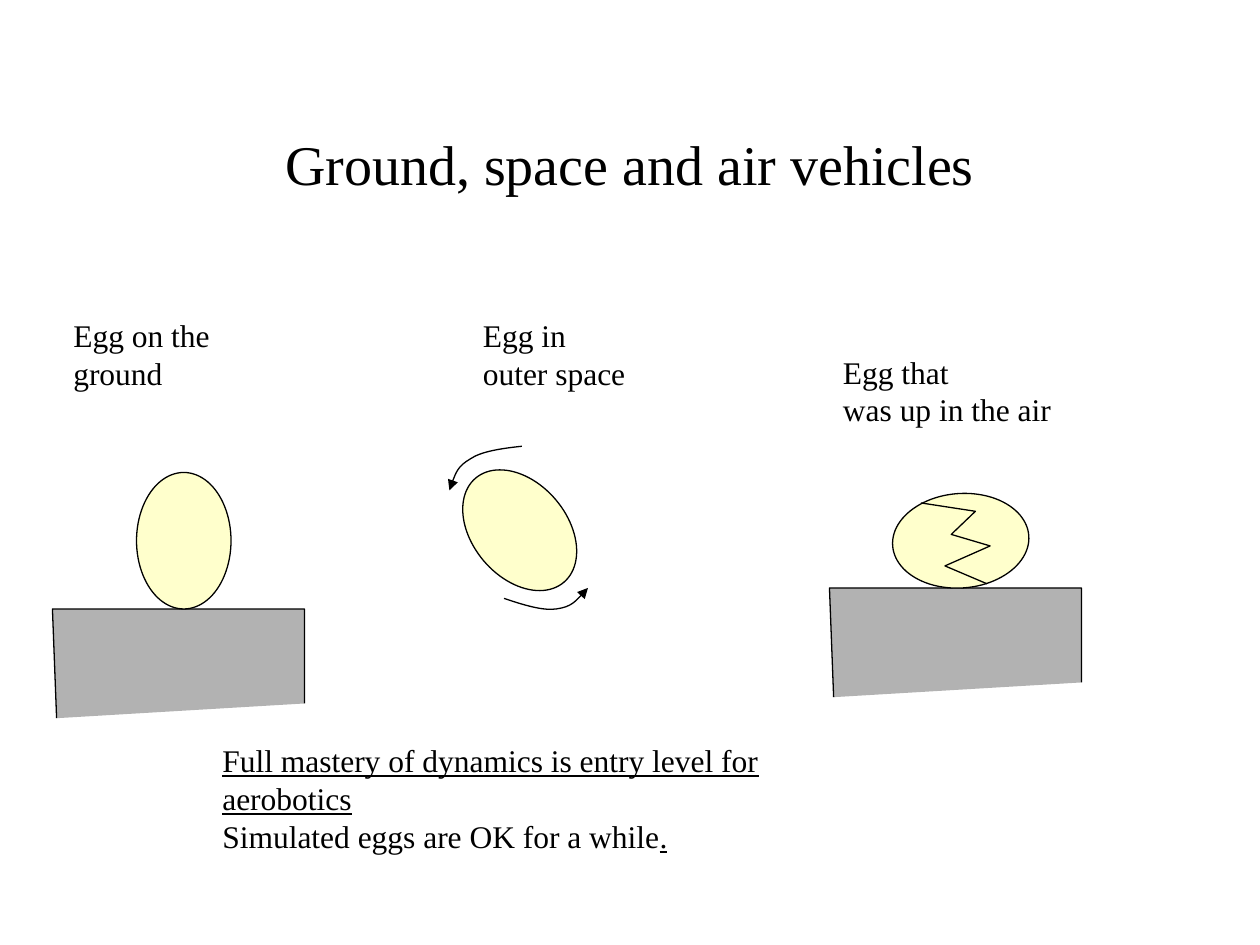
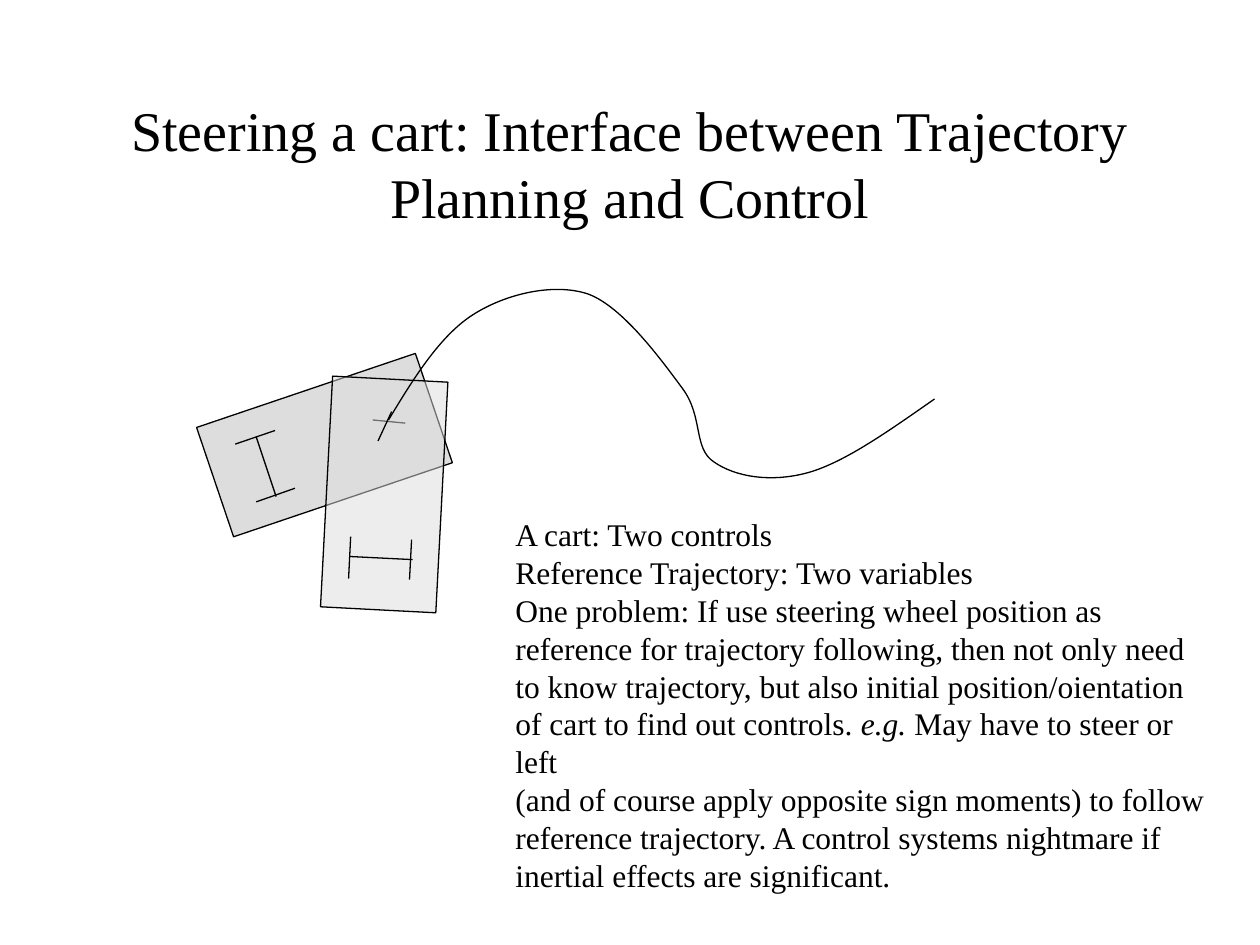
from dataclasses import dataclass

from lxml import etree
from pptx import Presentation
from pptx.dml.color import RGBColor
from pptx.enum.shapes import MSO_CONNECTOR, MSO_SHAPE
from pptx.enum.text import MSO_ANCHOR, MSO_AUTO_SIZE, PP_ALIGN
from pptx.oxml.ns import qn
from pptx.util import Inches, Pt

STRAIGHT = MSO_CONNECTOR.STRAIGHT
OVAL, RECTANGLE = MSO_SHAPE.OVAL, MSO_SHAPE.RECTANGLE
MIDDLE = MSO_ANCHOR.MIDDLE
FIT_TEXT = MSO_AUTO_SIZE.SHAPE_TO_FIT_TEXT
LEFT, CENTER = PP_ALIGN.LEFT, PP_ALIGN.CENTER


@dataclass(frozen=True)
class Theme:
    font: str = "Times New Roman"
    title_size: int = 32
    body_size: int = 18
    ink: str = "000000"
    egg: str = "FFFFCC"
    ground: str = "B2B2B2"
    cart: str = "DDDDDD"
    line_width: float = 0.75


THEME = Theme()
WIDTH, HEIGHT = Inches(10), Inches(7.5)
COLUMNS = 120
UNIT = WIDTH // COLUMNS
TITLE_BOX = (9, 8, 102, 15)
EGG_SIZE = (9, 13)
CART_SIZE = (11, 22)

EGG_TITLE = "Ground, space and air vehicles"
EGG_TEXTS = [
    ((5.8, 29.5, 24.6, 4.8), ["Egg on the ground"]),
    ((44.8, 29.5, 16, 8.4), ["Egg in", "outer space"]),
    ((79.1, 33, 22.2, 8.4), ["Egg that", "was up in the air"]),
    ((20, 70, 66.5, 8.4), [
        [("Full mastery of dynamics is entry level for aerobotics", "underline")],
        [("Simulated eggs are OK for a while", None), (".", "underline")],
    ]),
]
EGGS = [(13, 45, 0), (45, 44, 319.7), (87, 45, 265.7)]
GROUND_CORNERS = [(5, 58), (79, 56)]
GROUND_OUTLINE = [(0.4, 10.4), (0, 0), (24, 0), (24, 9)]
CRACK = [(87.7, 47.9), (92.9, 48.7), (90.6, 50.9), (94.3, 52), (90, 53.9), (94, 55.6)]
SPIN_ARROWS = [
    [(48, 57), (49.8, 57.6), (51.7, 58.2), (53, 58), (54.4, 57.8), (55.2, 56.9), (56, 56)],
    [(49.7, 42.5), (47.8, 42.7), (45.8, 43), (44.8, 43.7), (43.6, 44.4), (43.2, 45.5),
     (42.8, 46.7)],
]

CART_TITLE = "Steering a cart: Interface between Trajectory Planning and Control"
CART_TEXT_BOX = (47.9, 48.5, 69.7, 33.6)
CART_TEXT = [
    "A cart: Two controls",
    "Reference Trajectory: Two variables",
    "One problem: If use steering wheel position as",
    "reference for trajectory following, then not only need",
    "to know trajectory, but also initial position/oientation",
    [("of cart to find out controls. ", None), ("e.g. ", "italic"),
     ("May have to steer or left", None)],
    "(and of course apply opposite sign moments) to follow",
    "reference trajectory. A control systems nightmare if",
    "inertial effects are significant.",
]
CARTS = [
    {"corner": (25.4, 31.4), "rotation": 71.3, "opacity": 100, "axles_and_wheels": [
        (24.4, 41.6, 26.3, 47.3), (26.2, 41, 22.4, 42.3),
        (28.1, 46.5, 24.4, 47.8), (38.6, 40.3, 35.5, 40)]},
    {"corner": (31.1, 36.1), "rotation": 3, "opacity": 50, "axles_and_wheels": [
        (33.3, 53, 39.3, 53.3), (33.4, 51.1, 33.2, 55.1),
        (39.2, 51.4, 39, 55.2), (37.3, 39.2, 36, 42)]},
]
TRAJECTORY = [
    (37, 40), (39.4, 36), (41.9, 32), (45, 30), (48.1, 28), (52.7, 26.9), (56, 28),
    (59.3, 29.2), (63, 34.3), (65, 37), (67, 39.7), (66, 42.7), (68, 44),
    (70, 45.4), (73.4, 46), (77, 45), (80.5, 44), (84.7, 41), (89, 38),
]


def emu(values):
    return [round(value * UNIT) for value in values]


def color(name):
    return RGBColor.from_string(name)


def style_line(line):
    line.color.rgb = color(THEME.ink)
    line.width = Pt(THEME.line_width)


def style_shape(shape, fill=None, opacity=100):
    shape.shadow.inherit = False
    style_line(shape.line)
    if fill is None:
        shape.fill.background()
        return
    shape.fill.solid()
    shape.fill.fore_color.rgb = color(fill)
    if opacity < 100:
        shade = shape.element.spPr.find(qn("a:solidFill"))[0]
        etree.SubElement(shade, qn("a:alpha"), val=str(opacity * 1000))


def add_text(slide, box, paragraphs, size, alignment=LEFT, wrap=False):
    text_box = slide.shapes.add_textbox(*emu(box))
    frame = text_box.text_frame
    frame.word_wrap = wrap
    if wrap:
        frame.vertical_anchor = MIDDLE
    else:
        frame.auto_size = FIT_TEXT
    for index, content in enumerate(paragraphs):
        paragraph = frame.paragraphs[0] if index == 0 else frame.add_paragraph()
        paragraph.alignment = alignment
        pieces = [(content, None)] if isinstance(content, str) else content
        for text, emphasis in pieces:
            run = paragraph.add_run()
            run.text = text
            run.font.name = THEME.font
            run.font.size = Pt(size)
            run.font.color.rgb = color(THEME.ink)
            if emphasis:
                setattr(run.font, emphasis, True)


def add_preset(shapes, kind, corner, size, rotation, fill, opacity=100):
    shape = shapes.add_shape(kind, *emu(corner + size))
    shape.rotation = rotation
    style_shape(shape, fill, opacity)


def add_outline(slide, points, fill=None):
    start, *others = [emu(point) for point in points]
    builder = slide.shapes.build_freeform(*start)
    builder.add_line_segments(others, close=False)
    shape = builder.convert_to_shape()
    style_shape(shape, fill)
    return shape


def add_curve(slide, points, arrow=False):
    shape = add_outline(slide, points)
    properties = shape.element.spPr
    outline = next(properties.iter(qn("a:path")))
    segments = outline.findall(qn("a:lnTo"))
    for first in range(0, len(segments), 3):
        curve = etree.SubElement(outline, qn("a:cubicBezTo"))
        for segment in segments[first:first + 3]:
            curve.append(segment[0])
            outline.remove(segment)
    if arrow:
        etree.SubElement(properties.find(qn("a:ln")), qn("a:tailEnd"), type="triangle")


def add_line(shapes, ends):
    line = shapes.add_connector(STRAIGHT, *emu(ends))
    style_line(line.line)
    etree.SubElement(line.element.spPr, qn("a:effectLst"))


def add_cart(slide, cart):
    group = slide.shapes.add_group_shape()
    add_preset(group.shapes, RECTANGLE, cart["corner"], CART_SIZE, cart["rotation"],
               THEME.cart, cart["opacity"])
    for ends in cart["axles_and_wheels"]:
        add_line(group.shapes, ends)


def add_titled_slide(presentation, title):
    slide = presentation.slides.add_slide(presentation.slide_layouts[6])
    add_text(slide, TITLE_BOX, [title], THEME.title_size, CENTER, wrap=True)
    return slide


def build_egg_slide(presentation):
    slide = add_titled_slide(presentation, EGG_TITLE)
    for left, top in GROUND_CORNERS:
        add_outline(slide, [(left + x, top + y) for x, y in GROUND_OUTLINE], THEME.ground)
    for left, top, rotation in EGGS:
        add_preset(slide.shapes, OVAL, (left, top), EGG_SIZE, rotation, THEME.egg)
    add_outline(slide, CRACK)
    for points in SPIN_ARROWS:
        add_curve(slide, points, arrow=True)
    for box, paragraphs in EGG_TEXTS:
        add_text(slide, box, paragraphs, THEME.body_size)


def build_cart_slide(presentation):
    slide = add_titled_slide(presentation, CART_TITLE)
    for cart in CARTS:
        add_cart(slide, cart)
    add_curve(slide, TRAJECTORY)
    add_text(slide, CART_TEXT_BOX, CART_TEXT, THEME.body_size)


def main():
    presentation = Presentation()
    presentation.slide_width, presentation.slide_height = WIDTH, HEIGHT
    build_egg_slide(presentation)
    build_cart_slide(presentation)
    presentation.save("out.pptx")


if __name__ == "__main__":
    main()
